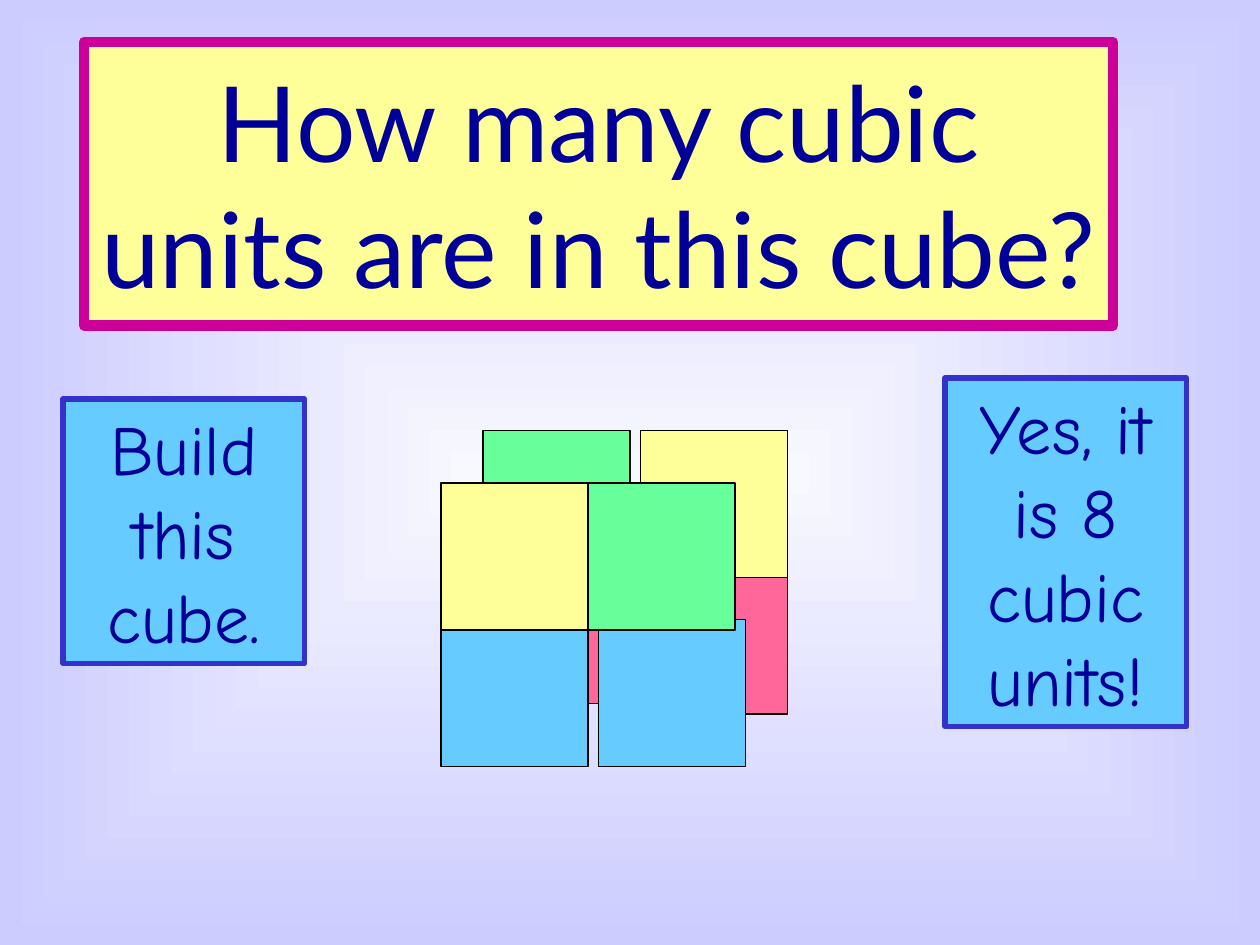
from pptx import Presentation
from pptx.dml.color import RGBColor
from pptx.enum.shapes import MSO_SHAPE
from pptx.enum.text import MSO_ANCHOR, MSO_AUTO_SIZE, PP_ALIGN
from pptx.oxml import parse_xml
from pptx.oxml.ns import nsdecls, qn
from pptx.util import Inches, Pt

RECTANGLE = MSO_SHAPE.RECTANGLE
CENTER = PP_ALIGN.CENTER
TOP, MIDDLE = MSO_ANCHOR.TOP, MSO_ANCHOR.MIDDLE
FIXED, GROW = MSO_AUTO_SIZE.NONE, MSO_AUTO_SIZE.SHAPE_TO_FIT_TEXT
TITLE_ONLY = 5

COLUMNS, ROWS = 120, 90
CUBE_SIDE = 14
NOTE_WIDTH = 23
NAVY, BLACK, BORDER_BLUE, MAGENTA = "000099", "000000", "3333CC", "CC0099"
PINK, GREEN, YELLOW, BLUE = "FF6699", "66FF99", "FFFF99", "66CCFF"

# Column, row and colour of each cube face, from back to front
CUBE_FACES = [
    (45, 53, PINK), (46, 41, GREEN),
    (42, 59, BLUE), (61, 54, PINK),
    (61, 41, YELLOW), (57, 59, BLUE),
    (42, 46, YELLOW), (56, 46, GREEN),
]
# Column, row, height and wording
NOTES = [
    (6, 38, 25.2, "Build this cube."),
    (90, 36, 33.2, "Yes, it is 8 cubic units!"),
]


def rgb(hex_colour):
    return RGBColor.from_string(hex_colour)


def apply_format(target, values):
    for name, value in values.items():
        setattr(target, name, value)


class CubeSlide:
    title_font = {"name": "Lato", "size": Pt(60), "bold": False}
    note_font = {"name": "Comic Neue", "size": Pt(40), "bold": False}

    def __init__(self, presentation):
        self.slide = presentation.slides.add_slide(
            presentation.slide_layouts[TITLE_ONLY])
        self.column = presentation.slide_width / COLUMNS
        self.row = presentation.slide_height / ROWS

    def frame(self, column, row, width, height):
        """Turn grid units into left, top, width and height."""
        return (round(column * self.column), round(row * self.row),
                round(width * self.column), round(height * self.row))

    def background(self, centre, edge):
        """Fill the background with a gradient running out from the middle."""
        fill = self.slide.background.fill
        fill.gradient()
        for stop, colour, position in zip(fill.gradient_stops, (centre, edge), (0, 1)):
            stop.color.rgb = rgb(colour)
            stop.position = position
        linear = self.slide.element.find(".//" + qn("a:lin"))
        linear.getparent().replace(linear, parse_xml(
            f'<a:path {nsdecls("a")} path="rect">'
            '<a:fillToRect l="50000" t="50000" r="50000" b="50000"/></a:path>'))

    def paint(self, shape, fill, line, line_width):
        shape.fill.solid()
        shape.fill.fore_color.rgb = rgb(fill)
        shape.line.color.rgb = rgb(line)
        shape.line.width = Pt(line_width)

    def set_text(self, shape, wording, font, anchor, auto_size):
        text_frame = shape.text_frame
        apply_format(text_frame, {"text": wording, "word_wrap": True,
                                  "vertical_anchor": anchor, "auto_size": auto_size})
        paragraph = text_frame.paragraphs[0]
        paragraph.alignment = CENTER
        apply_format(paragraph.font, font)
        paragraph.font.color.rgb = rgb(NAVY)

    def title(self, wording, *place):
        title = self.slide.shapes.title
        sides = ("left", "top", "width", "height")
        apply_format(title, dict(zip(sides, self.frame(*place))))
        self.paint(title, YELLOW, MAGENTA, 6)
        self.set_text(title, wording, self.title_font, MIDDLE, FIXED)

    def box(self, place, fill, line, line_width):
        box = self.slide.shapes.add_shape(RECTANGLE, *self.frame(*place))
        box.shadow.inherit = False
        self.paint(box, fill, line, line_width)
        return box

    def cube_face(self, column, row, colour):
        self.box((column, row, CUBE_SIDE, CUBE_SIDE), colour, BLACK, 0.75)

    def note(self, column, row, height, wording):
        note = self.box((column, row, NOTE_WIDTH, height), BLUE, BORDER_BLUE, 3)
        self.set_text(note, wording, self.note_font, TOP, GROW)


def main():
    presentation = Presentation()
    presentation.slide_width, presentation.slide_height = Inches(10), Inches(7.5)
    page = CubeSlide(presentation)
    page.background("F8F8FF", "CCCCFF")
    page.title("How many cubic units are in this cube?", 8, 4, 98, 27)
    for face in CUBE_FACES:
        page.cube_face(*face)
    for note in NOTES:
        page.note(*note)
    presentation.save("out.pptx")


if __name__ == "__main__":
    main()
